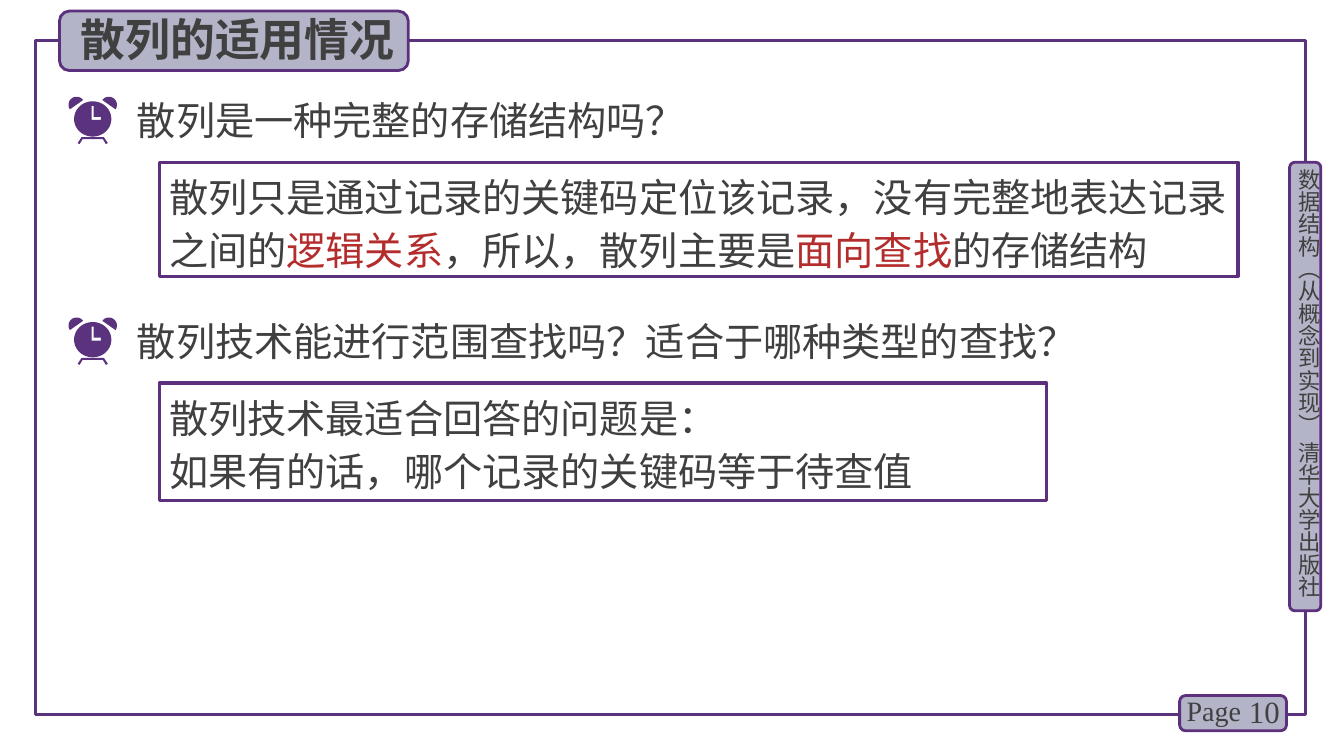
from math import cos, radians, sin

from lxml import etree
from pptx import Presentation
from pptx.dml.color import RGBColor
from pptx.enum.shapes import MSO_SHAPE
from pptx.enum.text import MSO_ANCHOR, MSO_AUTO_SIZE, PP_ALIGN
from pptx.oxml.ns import qn
from pptx.util import Inches, Pt

RECT, ROUND = MSO_SHAPE.RECTANGLE, MSO_SHAPE.ROUNDED_RECTANGLE
TOP, MID = MSO_ANCHOR.TOP, MSO_ANCHOR.MIDDLE
LEFT, RIGHT = PP_ALIGN.LEFT, PP_ALIGN.RIGHT
FIXED = MSO_AUTO_SIZE.NONE
HAN, ROMAN = "Noto Sans CJK SC", "Times New Roman"
INK, RED, GREY, EDGE, CLOCK = "404040", "B42D2D", "B4B4C8", "5C307D", "5A327D"

# Content: a string is plain, a tuple holds text and colour
TITLE = "散列的适用情况"
BOOK = "数据结构（从概念到实现） 清华大学出版社"
TOPICS = [
    {"ask": "散列是一种完整的存储结构吗？", "size": (10.7, 1.13),
     "reply": [["散列只是通过记录的关键码定位该记录，没有完整地表达记录之间的",
                ("逻辑关系", RED), "，所以，散列主要是",
                ("面向查找", RED), "的存储结构"]]},
    {"ask": "散列技术能进行范围查找吗？适合于哪种类型的查找？", "size": (8.8, 1.17),
     "reply": [["散列技术最适合回答的问题是："],
               ["如果有的话，哪个记录的关键码等于待查值"]]},
]
FIRST, STEP = 0.91, 2.19

prs = Presentation()
prs.slide_width, prs.slide_height = Inches(13.33), Inches(7.5)
slide = prs.slides.add_slide(prs.slide_layouts[5])
shapes = slide.shapes


def color(code):
    return RGBColor.from_string(code)


def write(shape, paras, size=28, face=HAN, bold=False, align=LEFT,
          anchor=TOP, pitch=None):
    frame = shape.text_frame
    look = {"word_wrap": True, "auto_size": FIXED, "vertical_anchor": anchor}
    for key, val in look.items():
        setattr(frame, key, val)
    for i, runs in enumerate(paras):
        para = frame.add_paragraph() if i else frame.paragraphs[0]
        para.alignment = align
        if pitch:
            para.line_spacing = Pt(pitch)
        for part in runs:
            text, tint = (part, INK) if isinstance(part, str) else part
            run = para.add_run()
            run.text = text
            for key, val in {"size": Pt(size), "name": face, "bold": bold}.items():
                setattr(run.font, key, val)
            run.font.color.rgb = color(tint)
            east = etree.SubElement(run.font._element, qn("a:ea"))
            east.set("typeface", face)
    return frame


def label(box, text, **form):
    return write(shapes.add_textbox(*map(Inches, box)), [[text]], **form)


def panel(kind, box, fill=None, edge=EDGE, width=2.25):
    shape = shapes.add_shape(kind, *map(Inches, box))
    shape.shadow.inherit = False
    if fill:
        shape.fill.solid()
        shape.fill.fore_color.rgb = color(fill)
    else:
        shape.fill.background()
    shape.line.color.rgb = color(edge)
    shape.line.width = Pt(width)
    return shape


def arc(x, y, rx, ry, start, end):
    turns = [radians(start + (end - start) * i / 48) for i in range(49)]
    return [(x + rx * cos(t), y + ry * sin(t)) for t in turns]


def clock(left, top):
    """Alarm clock: feet, two bells, and a face with cut-out hands."""
    mid = 0.24
    bell = arc(0.08, 0.08, 0.08, 0.08, 146, 324)
    feet = [(0.09, 0.46), (0.13, 0.4), (0.35, 0.4), (0.39, 0.46),
            (0.37, 0.47), (0.34, 0.42), (0.14, 0.42), (0.11, 0.47)]
    hands = [(0.23, 0.09), (0.25, 0.09), (0.25, 0.2),
             (0.32, 0.2), (0.32, 0.23), (0.23, 0.23)]
    face = arc(mid, 0.22, 0.185, 0.175, 0, 360)
    group = shapes.add_group_shape()
    for loops in ([feet], [bell], [[(2 * mid - x, y) for x, y in bell]],
                  [face, hands]):
        pen = None
        for loop in loops:
            pts = [(Inches(left + x), Inches(top + y)) for x, y in loop]
            if pen:
                pen.move_to(*pts[0])
            else:
                pen = group.shapes.build_freeform(*pts[0])
            pen.add_line_segments(pts[1:], close=True)
        shape = pen.convert_to_shape()
        shape.shadow.inherit = False
        shape.fill.solid()
        shape.fill.fore_color.rgb = color(CLOCK)
        shape.line.fill.background()


# Frame, book strip and page tag
panel(RECT, (0.35, 0.4, 12.6, 6.69), edge=CLOCK)
panel(ROUND, (12.79, 1.61, 0.31, 4.45), GREY, width=2)
strip = label((12.85, 1.67, 0.27, 4.49), BOOK, size=16)
for side in ("left", "top", "right", "bottom"):
    setattr(strip, "margin_" + side, 0)
strip._txBody.bodyPr.set("vert", "eaVert")
panel(ROUND, (11.7, 6.9, 1.06, 0.35), GREY, width=2)
label((12.2, 6.86, 0.59, 0.4), "10", size=22, face=ROMAN, align=RIGHT, anchor=MID)
label((11.67, 6.83, 0.78, 0.44), "Page", size=20, face=ROMAN)

# Title on its badge
panel(ROUND, (0.59, 0.11, 3.46, 0.59), GREY, width=2)
title = shapes.title
for key, val in zip(("left", "top", "width", "height"), (0.7, 0.07, 3.44, 0.64)):
    setattr(title, key, Inches(val))
write(title, [[TITLE]], size=32, bold=True)
shapes._spTree.append(title._element)

# Questions with boxed replies
for i, topic in enumerate(TOPICS):
    top = FIRST + i * STEP
    clock(0.68, top + 0.05)
    label((1.26, top, 10, 0.57), topic["ask"])
    box = panel(RECT, (1.58, top + 0.7, *topic["size"]))
    write(box, topic["reply"], pitch=38)

prs.save("out.pptx")
